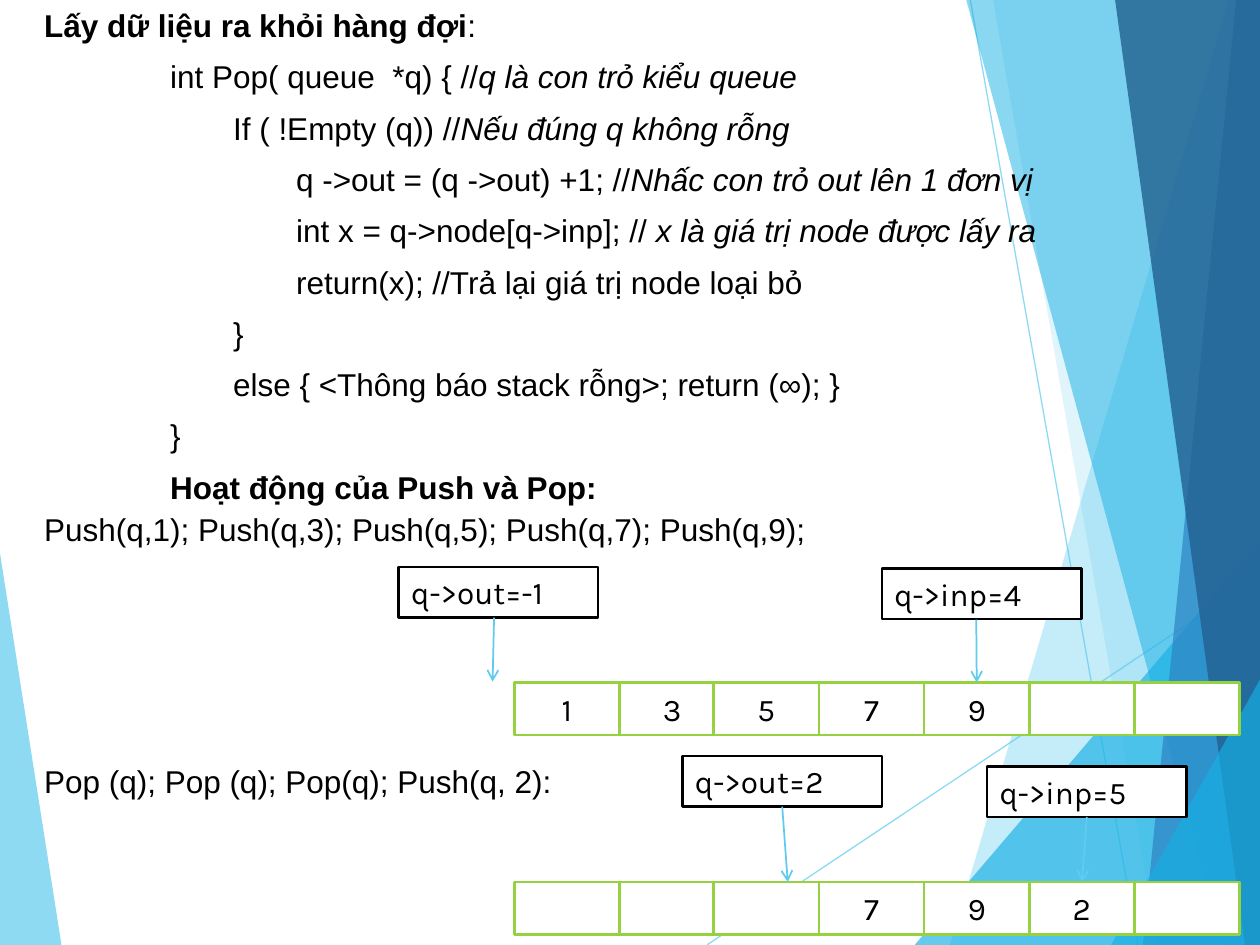
import pptx
import pptx.util
import pptx.dml.color
import pptx.enum.shapes
import pptx.enum.text
import pptx.oxml
import pptx.oxml.ns
from dataclasses import dataclass

Cm, Pt = pptx.util.Cm, pptx.util.Pt
ALIGN = pptx.enum.text.PP_ALIGN
ANCHOR = pptx.enum.text.MSO_ANCHOR


@dataclass(frozen=True)
class Theme:
    sky: str = "5FCBEF"
    aqua: str = "17B0E4"
    blue: str = "2E83C3"
    navy: str = "236292"
    green: str = "96D141"
    ink: str = "000000"
    paper: str = "FFFFFF"
    body: str = "Arial"
    mark: str = "Karla"
    size: float = 18
    gap: float = 7.7


T = Theme()
WIDE, HIGH = 25.4, 19.05

# Backdrop in cm: colour, opacity in percent, corners
LEFT = (T.sky, 70, [(0, 11.15), (1.24, HIGH), (0, HIGH)])
RAYS = [((14.25, HIGH), (WIDE, 11.61)), ((19.56, 0), (22.94, HIGH))]
PANES = [
    (T.sky, 36, [(24.77, 0), (19.15, HIGH), (WIDE, HIGH), (WIDE, 0)]),
    (T.sky, 20, [(20.02, 0), (23.34, HIGH), (WIDE, HIGH), (WIDE, 0)]),
    (T.aqua, 66, [(18.44, HIGH), (WIDE, 10.9), (WIDE, HIGH)]),
    (T.aqua, 50, [(19.48, 0), (24.64, HIGH), (WIDE, HIGH), (WIDE, 0)]),
    (T.blue, 70, [(24.92, 0), (23.04, HIGH), (WIDE, HIGH), (WIDE, 0)]),
    (T.navy, 82, [(22.48, 0), (25.1, HIGH), (WIDE, HIGH), (WIDE, 0)]),
    (T.aqua, 66, [(22.4, HIGH), (WIDE, 13.7), (WIDE, HIGH)]),
]

# Code lines: level, then runs of (text, style) with b for bold, i for italic
CODE = [
    (0, [("Lấy dữ liệu ra khỏi hàng đợi", "b"), (":", "")]),
    (2, [("int Pop( queue  *q) { //", ""), ("q là con trỏ kiểu queue", "i")]),
    (3, [("If ( !Empty (q)) //", ""), ("Nếu đúng q không rỗng", "i")]),
    (4, [("q ->out = (q ->out) +1; //", ""),
         ("Nhấc con trỏ out lên 1 đơn vị", "i")]),
    (4, [("int x = q->node[q->inp]; // ", ""),
         ("x là giá trị node được lấy ra", "i")]),
    (4, [("return(x); //Trả lại giá trị node loại bỏ", "")]),
    (3, [("}", "")]),
    (3, [("else { <Thông báo stack rỗng>; return (∞); }", "")]),
    (2, [("}", "")]),
    (2, [("Hoạt động của Push và Pop:", "b")]),
]
STEP = 1.27

CALLS = [
    ("Push(q,1); Push(q,3); Push(q,5); Push(q,7); Push(q,9);", 10.16, 16.51),
    ("Pop (q); Pop (q); Pop(q); Push(q, 2):", 15.24, 12.07),
]
QUEUES = [
    (13.76, ["1", "3", "5", "7", "9", "", ""]),
    (17.78, ["", "", "", "7", "9", "2", ""]),
]
CELL = (2.12, 1.06)
COLS = [10.37, 12.49] + [14.39 + CELL[0] * n for n in range(5)]

# Pointers: text, corner, arrow start (None: middle of the box),
# arrow end (a point, or the row and column of a cell)
TAGS = [
    ("q->inp=4", (17.78, 11.46), (19.68, 12.49), {"cell": (0, 4)}),
    ("q->inp=5", (19.9, 15.45), None, {"cell": (1, 5)}),
    ("q->out=2", (13.76, 15.24), None, {"point": (15.88, 17.78)}),
    ("q->out=-1", (8.04, 11.43), (9.96, 12.45), {"point": (9.93, 13.74)}),
]
TAG = (4.02, 1.02)


def rgb(code):
    return pptx.dml.color.RGBColor.from_string(code)


def node(parent, tag, **attrs):
    item = pptx.oxml.parse_xml(f"<a:{tag} {pptx.oxml.ns.nsdecls('a')}/>")
    for key, value in attrs.items():
        item.set(key, str(value))
    parent.append(item)


def fade(shape, part, alpha):
    """Set the opacity, in percent, of the solid colour of a fill or line."""
    tone = shape._element.spPr.xpath(f"{part}/a:srgbClr")[0]
    node(tone, "alpha", val=alpha * 1000)


def write(shape, text, level=0, font=T.body, align=ALIGN.LEFT,
          anchor=ANCHOR.TOP):
    """Fill a shape with a string or with (level, runs) lines."""
    frame = shape.text_frame
    frame.word_wrap = True
    frame.vertical_anchor = anchor
    lines = [(level, [(text, "")])] if isinstance(text, str) else text
    for n, (depth, runs) in enumerate(lines):
        para = frame.add_paragraph() if n else frame.paragraphs[0]
        para.level = depth
        para.alignment = align
        para.space_before = Pt(T.gap if n else 0)
        props = para._p.get_or_add_pPr()
        props.set("marL", str(Cm(STEP * depth)))
        props.set("indent", "0")
        for words, style in runs:
            run = para.add_run()
            run.text = words
            run.font.name, run.font.size = font, Pt(T.size)
            run.font.color.rgb = rgb(T.ink)
            run.font.bold, run.font.italic = "b" in style, "i" in style


def label(slide, text, x, y, wide, high, **form):
    box = slide.shapes.add_textbox(Cm(x), Cm(y), Cm(wide), Cm(high))
    write(box, text, **form)


def rect(slide, text, spot, size, edge, **form):
    box = slide.shapes.add_shape(
        pptx.enum.shapes.MSO_SHAPE.RECTANGLE, *map(Cm, spot + size))
    box.shadow.inherit = False
    box.fill.solid()
    box.fill.fore_color.rgb = rgb(T.paper)
    box.line.color.rgb = rgb(edge)
    box.line.width = Pt(1.5)
    if text:
        write(box, text, font=T.mark, **form)
    return box


def line(slide, start, end, width):
    link = slide.shapes.add_connector(
        pptx.enum.shapes.MSO_CONNECTOR.STRAIGHT, *map(Cm, start + end))
    link.line.color.rgb = rgb(T.sky)
    link.line.width = Pt(width)
    node(link._element.spPr, "effectLst")
    return link


def pane(slide, color, alpha, spots):
    first, *rest = [(Cm(x), Cm(y)) for x, y in spots]
    form = slide.shapes.build_freeform(*first)
    form.add_line_segments(rest, close=True)
    shape = form.convert_to_shape()
    shape.shadow.inherit = False
    shape.fill.solid()
    shape.fill.fore_color.rgb = rgb(color)
    shape.line.fill.background()
    fade(shape, "a:solidFill", alpha)


def main():
    deck = pptx.Presentation()
    deck.slide_width, deck.slide_height = Cm(WIDE), Cm(HIGH)
    slide = deck.slides.add_slide(deck.slide_layouts[6])

    pane(slide, *LEFT)
    for start, end in RAYS:
        fade(line(slide, start, end, 0.75), "a:ln/a:solidFill", 70)
    for item in PANES:
        pane(slide, *item)

    label(slide, CODE, 0.64, 0, 24.13, 10.03, align=ALIGN.JUSTIFY)
    for text, y, wide in CALLS:
        label(slide, text, 0.64, y, wide, 1.02)

    cells = [[rect(slide, text, (x, y), CELL, T.green, align=ALIGN.CENTER,
                   anchor=ANCHOR.MIDDLE) for x, text in zip(COLS, row)]
             for y, row in QUEUES]

    for text, spot, start, goal in TAGS:
        box = rect(slide, text, spot, TAG, T.ink)
        link = line(slide, start or spot, goal.get("point", spot), 1)
        if start is None:
            link.begin_connect(box, 2)
        if "cell" in goal:
            row, col = goal["cell"]
            link.end_connect(cells[row][col], 0)
        node(link._element.spPr.xpath("a:ln")[0], "tailEnd", type="arrow")

    deck.save("out.pptx")


if __name__ == "__main__":
    main()
